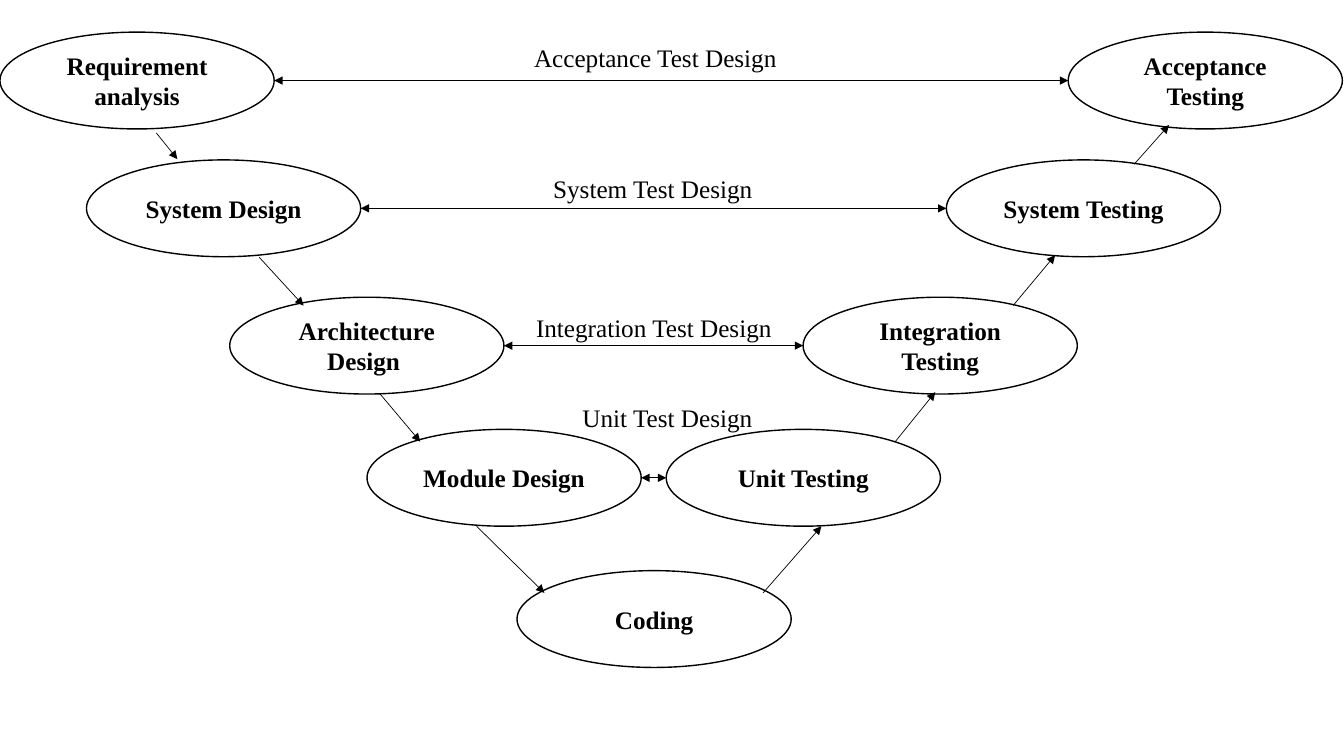
from pptx import Presentation
from pptx.dml.color import RGBColor
from pptx.enum.shapes import MSO_CONNECTOR, MSO_SHAPE
from pptx.enum.text import MSO_ANCHOR, MSO_AUTO_SIZE, PP_ALIGN
from pptx.oxml.ns import qn
from pptx.util import Cm, Pt
from lxml.etree import SubElement

COLORS = {"ink": "000000", "paper": "FFFFFF"}
FONT = "Times New Roman"
STAGE_WIDTH, STAGE_HEIGHT = 6.91, 2.44
LABEL_HEIGHT = 1.03
ELLIPSE_LEFT_SITE, ELLIPSE_RIGHT_SITE = 2, 6

LEVELS = [
    {"top": 0.81, "design": ("Requirement analysis", 0), "testing": ("Acceptance Testing", 26.92),
     "label": ("Acceptance Test Design", 13.21, 0.94, 6.91)},
    {"top": 4.03, "design": ("System Design", 2.18), "testing": ("System Testing", 23.85),
     "label": ("System Test Design", 13.69, 4.24, 5.56)},
    {"top": 7.49, "design": ("Architecture Design ", 5.79), "testing": ("Integration Testing", 20.24),
     "label": ("Integration Test Design", 13.26, 7.75, 6.81)},
    {"top": 10.82, "design": ("Module Design", 9.25), "testing": ("Unit Testing", 16.79),
     "label": ("Unit Test Design", 14.43, 10.01, 4.98)},
]
CODING = ("Coding", 13.03, 14.38)
STEP_ARROWS = [
    (3.94, 3.35, 4.47, 4.01),
    (6.53, 6.48, 7.65, 7.7),
    (9.58, 9.93, 10.59, 11.13),
    (12.01, 13.26, 13.72, 14.94),
    (19.23, 14.94, 20.7, 13.26),
    (22.56, 11.13, 23.57, 9.88),
    (25.53, 7.7, 26.59, 6.43),
    (28.58, 4.14, 29.46, 3.15),
]


def color(name):
    return RGBColor.from_string(COLORS[name])


def add_text(paragraph, text, bold=False):
    run = paragraph.add_run()
    run.text = text
    run.font.name = FONT
    run.font.size = Pt(18)
    run.font.bold = bold
    run.font.color.rgb = color("ink")


def add_stage(slide, text, left, top):
    shape = slide.shapes.add_shape(
        MSO_SHAPE.OVAL, Cm(left), Cm(top), Cm(STAGE_WIDTH), Cm(STAGE_HEIGHT))
    shape.shadow.inherit = False
    shape.fill.solid()
    shape.fill.fore_color.rgb = color("paper")
    shape.line.color.rgb = color("ink")
    shape.line.width = Pt(1)
    shape.text_frame.vertical_anchor = MSO_ANCHOR.MIDDLE
    paragraph = shape.text_frame.paragraphs[0]
    paragraph.alignment = PP_ALIGN.CENTER
    add_text(paragraph, text, bold=True)
    return shape


def add_arrow(slide, points, ends=("tailEnd",)):
    connector = slide.shapes.add_connector(
        MSO_CONNECTOR.STRAIGHT, *[Cm(value) for value in points])
    connector.line.color.rgb = color("ink")
    connector.line.width = Pt(0.5)
    line = connector.line._get_or_add_ln()
    for end in ends:
        SubElement(line, qn(f"a:{end}"), type="triangle")
    SubElement(connector._element.spPr, qn("a:effectLst"))
    return connector


def join_stages(slide, design, testing, points):
    connector = add_arrow(slide, points, ("headEnd", "tailEnd"))
    connector.begin_connect(design, 3)
    connector.end_connect(testing, 1)
    joints = connector._element.nvCxnSpPr.cNvCxnSpPr
    joints.stCxn.idx = ELLIPSE_RIGHT_SITE
    joints.endCxn.idx = ELLIPSE_LEFT_SITE


def add_label(slide, text, left, top, width):
    box = slide.shapes.add_textbox(Cm(left), Cm(top), Cm(width), Cm(LABEL_HEIGHT))
    box.text_frame.word_wrap = True
    box.text_frame.auto_size = MSO_AUTO_SIZE.SHAPE_TO_FIT_TEXT
    add_text(box.text_frame.paragraphs[0], text)


def main():
    presentation = Presentation()
    presentation.slide_width = Cm(33.87)
    presentation.slide_height = Cm(19.05)
    slide = presentation.slides.add_slide(presentation.slide_layouts[6])

    for level in LEVELS:
        top = level["top"]
        design = add_stage(slide, *level["design"], top)
        testing = add_stage(slide, *level["testing"], top)
        middle = top + STAGE_HEIGHT / 2
        join_stages(slide, design, testing,
                    (level["design"][1] + STAGE_WIDTH, middle, level["testing"][1], middle))
    add_stage(slide, *CODING)

    for points in STEP_ARROWS:
        add_arrow(slide, points)
    for level in LEVELS:
        add_label(slide, *level["label"])

    presentation.save("out.pptx")


if __name__ == "__main__":
    main()
